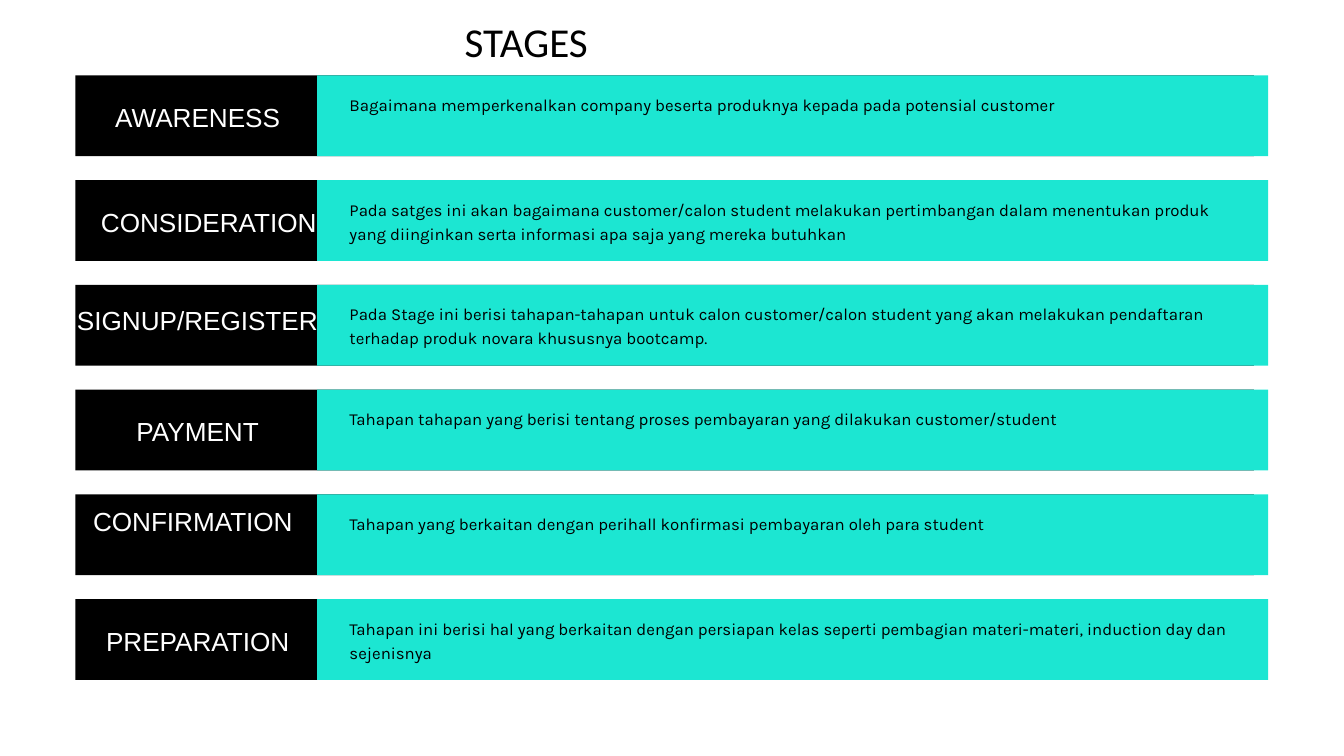
from dataclasses import dataclass

from pptx import Presentation
from pptx import util as u
from pptx.dml.color import RGBColor
from pptx.enum import shapes, text


@dataclass(frozen=True)
class Theme:
    ink: RGBColor = RGBColor(0x00, 0x00, 0x00)
    paper: RGBColor = RGBColor(0xFF, 0xFF, 0xFF)
    panel: RGBColor = RGBColor(0x1C, 0xE6, 0xD2)
    title_font: str = "Calibri"
    label_font: str = "Arial"
    body_font: str = "Karla"
    title_size: float = 44
    label_size: float = 28
    body_size: float = 18
    label_leading: float = 33.6
    body_leading: float = 25.6


@dataclass(frozen=True)
class Box:
    left: float
    top: float
    width: float
    height: float

    def inner(self, left, top, width, height):
        return Box(self.left + left, self.top + top, width, height)

    def lengths(self):
        return [u.Cm(v) for v in (self.left, self.top, self.width, self.height)]


@dataclass(frozen=True)
class Stage:
    name: str
    detail: str
    # Label position within its row, in cm
    label_left: float = 0.86
    label_top: float = 0.98
    label_width: float = 7.52


THEME = Theme()
FIRST_ROW = Box(2.85, 2.85, 44.55, 3.05)
ROW_PITCH = 3.96
PANEL_LEFT, PANEL_WIDTH = 9.14, 35.94

STAGES = [
    Stage("AWARENESS",
          "Bagaimana memperkenalkan company beserta produknya kepada pada "
          "potensial customer"),
    Stage("CONSIDERATION",
          "Pada satges ini akan bagaimana customer/calon student melakukan "
          "pertimbangan dalam menentukan produk yang diinginkan serta "
          "informasi apa saja yang mereka butuhkan",
          label_width=8.36),
    Stage("SIGNUP/REGISTER",
          "Pada Stage ini berisi tahapan-tahapan untuk calon customer/calon "
          "student yang akan melakukan pendaftaran terhadap produk novara "
          "khususnya bootcamp.",
          label_left=-0.1, label_top=0.74, label_width=9.42),
    Stage("PAYMENT",
          "Tahapan tahapan yang berisi tentang proses pembayaran yang "
          "dilakukan customer/student"),
    Stage("CONFIRMATION",
          "Tahapan yang berkaitan dengan perihall konfirmasi pembayaran oleh "
          "para student",
          label_left=0.53, label_top=0.43, label_width=7.82),
    Stage("PREPARATION",
          "Tahapan ini berisi hal yang berkaitan dengan persiapan kelas "
          "seperti pembagian materi-materi, induction day dan sejenisnya"),
]


def add_span(para, words, font, size, color):
    span = para.add_run()
    span.text = words
    span.font.name = font
    span.font.size = u.Pt(size)
    span.font.color.rgb = color


def add_bar(page, box, color):
    bar = page.shapes.add_shape(shapes.MSO_SHAPE.RECTANGLE, *box.lengths())
    bar.shadow.inherit = False
    bar.fill.solid()
    bar.fill.fore_color.rgb = color
    bar.line.fill.background()


def add_text(page, box, words, font, size, color, leading, align):
    frame = page.shapes.add_textbox(*box.lengths()).text_frame
    frame.word_wrap = True
    frame.auto_size = text.MSO_AUTO_SIZE.SHAPE_TO_FIT_TEXT
    frame.margin_left = frame.margin_right = 0
    frame.margin_top = frame.margin_bottom = 0
    para = frame.paragraphs[0]
    para.alignment = align
    para.line_spacing = u.Pt(leading)
    add_span(para, words, font, size, color)


def place_title(page, box, words):
    title = page.shapes.title
    title.left, title.top, title.width, title.height = box.lengths()
    frame = title.text_frame
    frame.vertical_anchor = text.MSO_ANCHOR.MIDDLE
    para = frame.paragraphs[0]
    para.alignment = text.PP_ALIGN.CENTER
    add_span(para, words, THEME.title_font, THEME.title_size, THEME.ink)


def add_stage_row(page, box, stage):
    # Black band with the coloured panel over its right part
    add_bar(page, box, THEME.ink)
    add_bar(page, box.inner(PANEL_LEFT, 0, PANEL_WIDTH, box.height), THEME.panel)

    # Stage name
    add_text(page,
             box.inner(stage.label_left, stage.label_top, stage.label_width, 1.14),
             stage.name, THEME.label_font, THEME.label_size, THEME.paper,
             THEME.label_leading, text.PP_ALIGN.CENTER)

    # Description
    add_text(page, box.inner(10.36, 0.59, 33.5, 1.85),
             stage.detail, THEME.body_font, THEME.body_size, THEME.ink,
             THEME.body_leading, text.PP_ALIGN.LEFT)


def main():
    deck = Presentation()
    deck.slide_width, deck.slide_height = u.Cm(50.8), u.Cm(28.58)
    page = deck.slides.add_slide(deck.slide_layouts.get_by_name("Title Only"))

    place_title(page, Box(8.46, -0.05, 22.86, 3.18), "STAGES")
    for index, stage in enumerate(STAGES):
        row = FIRST_ROW.inner(0, index * ROW_PITCH,
                              FIRST_ROW.width, FIRST_ROW.height)
        add_stage_row(page, row, stage)

    deck.save("out.pptx")


if __name__ == "__main__":
    main()
